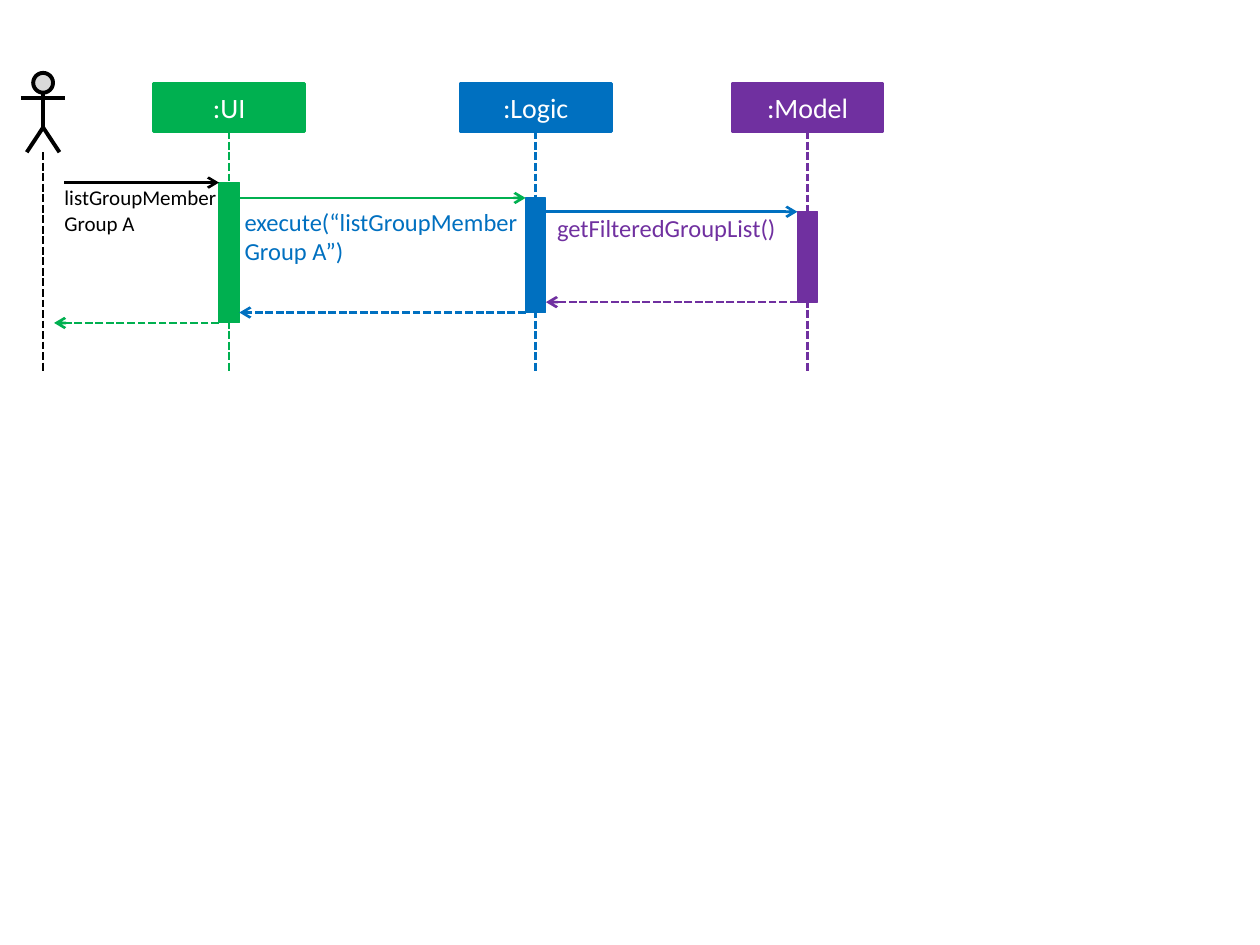
from pptx import Presentation
from pptx.dml.color import RGBColor
from pptx.enum.dml import MSO_LINE
from pptx.enum.shapes import MSO_CONNECTOR, MSO_SHAPE
from pptx.enum.text import MSO_ANCHOR, MSO_AUTO_SIZE, PP_ALIGN
from pptx.oxml.ns import qn
from pptx.util import Cm, Pt
from lxml import etree

RECTANGLE = MSO_SHAPE.RECTANGLE
CIRCLE = MSO_SHAPE.FLOWCHART_CONNECTOR
STRAIGHT = MSO_CONNECTOR.STRAIGHT
DASH = MSO_LINE.SQUARE_DOT  # written as sysDash below the 1.5 pt width
SHORT_DASH = "sysDash"
BOTTOM = 2

BLACK, WHITE, GREY = "000000", "FFFFFF", "D9D9D9"
GREEN, BLUE, PURPLE = "00B050", "0070C0", "7030A0"

# Shared measures in centimetres
HEADER_WIDTH, HEADER_HEIGHT, HEADER_TOP = 3.05, 0.97, 1.68
BAR_WIDTH = 0.41
LIFELINE_END = 7.49
ACTOR_X = 0.87


def color(value):
    return RGBColor.from_string(value)


class SequenceDiagram:
    font_name = "Calibri"
    line_width = 1.5

    def __init__(self, slide):
        self.slide = slide

    def outline(self, shape, line_color, width):
        shape.line.color.rgb = color(line_color)
        shape.line.width = Pt(width)

    def add_runs(self, frame, lines, size, text_color, align):
        for index, text in enumerate(lines):
            paragraph = frame.paragraphs[0] if index == 0 else frame.add_paragraph()
            paragraph.alignment = align
            run = paragraph.add_run()
            run.text = text
            run.font.name = self.font_name
            run.font.size = Pt(size)
            run.font.color.rgb = color(text_color)

    def shape(self, kind, left, top, width, height, fill, line_color, line_width, parent=None):
        shapes = (parent or self.slide).shapes
        shape = shapes.add_shape(kind, Cm(left), Cm(top), Cm(width), Cm(height))
        shape.shadow.inherit = False
        shape.fill.solid()
        shape.fill.fore_color.rgb = color(fill)
        self.outline(shape, line_color, line_width)
        return shape

    def line(self, start, end, line_color, width=line_width, dashed=False, arrow=False, parent=None):
        shapes = (parent or self.slide).shapes
        connector = shapes.add_connector(STRAIGHT, *(Cm(value) for value in (*start, *end)))
        self.outline(connector, line_color, width)
        if dashed:
            connector.line.dash_style = DASH
            connector.line._ln.find(qn("a:prstDash")).set("val", SHORT_DASH)
        if arrow:
            etree.SubElement(connector.line._ln, qn("a:tailEnd"), type="arrow")
        etree.SubElement(connector._element.spPr, qn("a:effectLst"))
        return connector

    def label(self, left, top, width, height, lines, size, text_color):
        box = self.slide.shapes.add_textbox(Cm(left), Cm(top), Cm(width), Cm(height))
        frame = box.text_frame
        frame.word_wrap = True
        frame.auto_size = MSO_AUTO_SIZE.SHAPE_TO_FIT_TEXT
        frame.margin_left = frame.margin_right = frame.margin_top = frame.margin_bottom = 0
        self.add_runs(frame, lines, size, text_color, PP_ALIGN.LEFT)

    def participant(self, name, center, bar_top, bar_bottom, fill):
        header = self.shape(RECTANGLE, center - HEADER_WIDTH / 2, HEADER_TOP,
                            HEADER_WIDTH, HEADER_HEIGHT, fill, fill, self.line_width)
        header.text_frame.vertical_anchor = MSO_ANCHOR.MIDDLE
        self.add_runs(header.text_frame, [name], 16, WHITE, PP_ALIGN.CENTER)
        lifeline = self.line((center, HEADER_TOP + HEADER_HEIGHT), (center, LIFELINE_END),
                             fill, dashed=True)
        lifeline.begin_connect(header, BOTTOM)
        self.shape(RECTANGLE, center - BAR_WIDTH / 2, bar_top,
                   BAR_WIDTH, bar_bottom - bar_top, fill, fill, 0.75)

    def actor(self, center):
        group = self.slide.shapes.add_group_shape()
        self.shape(CIRCLE, center - 0.2, 1.47, 0.4, 0.4, GREY, BLACK, 2.25, group)
        self.line((center, 1.87), (center, 2.57), BLACK, 2.25, parent=group)
        builder = group.shapes.build_freeform(Cm(center - 0.33), Cm(3.07))
        builder.add_line_segments([(Cm(center), Cm(2.57)), (Cm(center + 0.33), Cm(3.07))],
                                  close=False)
        legs = builder.convert_to_shape()
        legs.shadow.inherit = False
        legs.fill.background()
        self.outline(legs, BLACK, 2.25)
        self.line((center - 0.45, 1.98), (center + 0.45, 1.98), BLACK, 2.25, parent=group)
        self.line((center, 3.07), (center, LIFELINE_END), BLACK, dashed=True)


def main():
    presentation = Presentation()
    presentation.slide_width, presentation.slide_height = Cm(25.4), Cm(19.05)
    slide = presentation.slides.add_slide(presentation.slide_layouts[6])
    diagram = SequenceDiagram(slide)

    # Participants: name, centre, activation top and bottom, colour
    participants = [
        (":UI", 4.62, 3.68, 6.51, GREEN),
        (":Logic", 10.8, 3.99, 6.3, BLUE),
        (":Model", 16.28, 4.27, 6.09, PURPLE),
    ]
    diagram.actor(ACTOR_X)
    for participant in participants:
        diagram.participant(*participant)

    # Calls run along the top of each activation, returns along its bottom
    call_start, return_end, call_color = 1.3, 1.09, BLACK
    for name, center, bar_top, bar_bottom, fill in participants:
        bar_left = center - BAR_WIDTH / 2
        diagram.line((call_start, bar_top), (bar_left, bar_top), call_color, arrow=True)
        diagram.line((bar_left, bar_bottom), (return_end, bar_bottom), fill,
                     dashed=True, arrow=True)
        call_start = return_end = center + BAR_WIDTH / 2
        call_color = fill

    # Message labels
    diagram.label(1.3, 3.73, 3.25, 1.02, ["listGroupMember", "Group A"], 12, BLACK)
    diagram.label(4.93, 4.17, 5.77, 1.19, ["execute(“listGroupMember", "Group A”)"], 14, BLUE)
    diagram.label(11.23, 4.29, 4.67, 0.61, ["getFilteredGroupList()"], 14, PURPLE)

    presentation.save("out.pptx")


if __name__ == "__main__":
    main()
